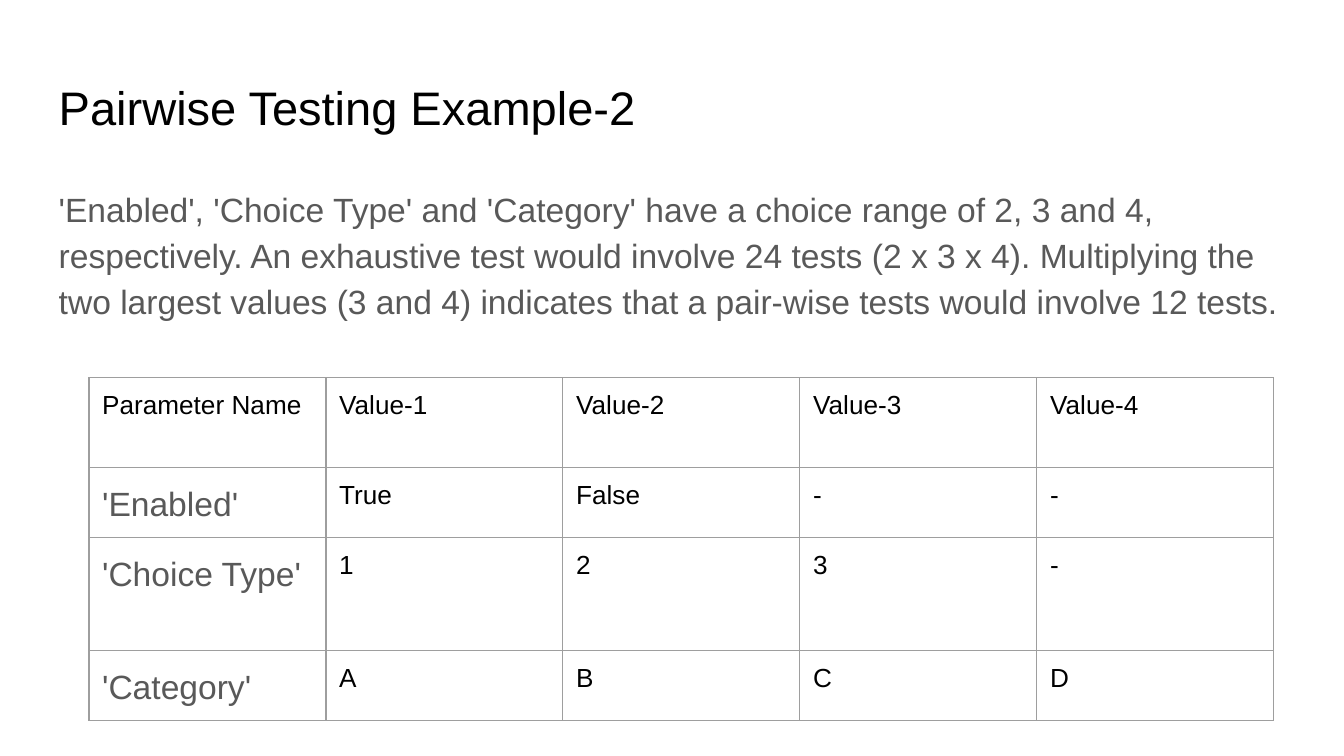
from lxml import etree
from pptx import Presentation
from pptx.dml.color import RGBColor
from pptx.enum.text import MSO_ANCHOR as Anchor, MSO_AUTO_SIZE as AutoSize, PP_ALIGN as Align
from pptx.oxml.ns import qn
from pptx.util import Cm, Pt

BLACK = RGBColor(0x00, 0x00, 0x00)
GREY = RGBColor(0x59, 0x59, 0x59)
BORDER = RGBColor(0x9E, 0x9E, 0x9E)
INSET = Cm(0.25)

ROWS = [
    ["Parameter Name", "Value-1", "Value-2", "Value-3", "Value-4"],
    ["'Enabled'", "True", "False", "-", "-"],
    ["'Choice Type'", "1", "2", "3", "-"],
    ["'Category'", "A", "B", "C", "D"],
]
ROW_HEIGHTS = [1.7, 1.27, 2.14, 1.27]


def write(tf, text, size=14, color=BLACK, spacing=1.0, after=0):
    """Put one formatted paragraph into a text frame and return it."""
    p = tf.paragraphs[0]
    p.alignment = Align.LEFT
    p.line_spacing = spacing
    p.space_before, p.space_after = Pt(0), Pt(after)
    r = p.add_run()
    r.text = text
    r.font.name, r.font.size, r.font.color.rgb = "Arial", Pt(size), color
    return p


def fill_placeholder(sp, box, text, **fmt):
    """Move a placeholder to box (cm) and write unbulleted text in it."""
    sp.left, sp.top, sp.width, sp.height = (Cm(v) for v in box)
    tf = sp.text_frame
    tf.margin_left = tf.margin_right = tf.margin_top = tf.margin_bottom = INSET
    tf.word_wrap, tf.auto_size = True, AutoSize.NONE
    tf.vertical_anchor = Anchor.TOP
    pPr = write(tf, text, **fmt)._p.get_or_add_pPr()
    pPr.set("marL", "0")
    pPr.set("indent", "0")
    etree.SubElement(pPr, qn("a:buNone"))


def set_borders(cell):
    """Draw a thin line on all four sides of a cell."""
    tcPr = cell._tc.get_or_add_tcPr()
    for i, side in enumerate(("lnL", "lnR", "lnT", "lnB")):
        ln = etree.Element(qn(f"a:{side}"), w=str(Pt(0.75)))
        fill = etree.SubElement(ln, qn("a:solidFill"))
        etree.SubElement(fill, qn("a:srgbClr"), val=str(BORDER))
        tcPr.insert(i, ln)


def add_parameter_table(s, left, top, width):
    """Add the parameter table with equal columns."""
    n_cols = len(ROWS[0])
    table = s.shapes.add_table(len(ROWS), n_cols, Cm(left), Cm(top),
                               Cm(width), Cm(sum(ROW_HEIGHTS))).table
    table.first_row = table.horz_banding = False
    for col in table.columns:
        col.width = Cm(width / n_cols)
    for i, (values, height) in enumerate(zip(ROWS, ROW_HEIGHTS)):
        table.rows[i].height = Cm(height)
        for j, value in enumerate(values):
            cell = table.cell(i, j)
            cell.fill.background()
            cell.margin_left = cell.margin_right = INSET
            cell.margin_top = cell.margin_bottom = INSET
            is_name = i > 0 and j == 0
            fmt = dict(size=18, color=GREY, spacing=1.15, after=12) if is_name else {}
            write(cell.text_frame, value, **fmt)
            set_borders(cell)


def build_slide(prs):
    """Build the slide: title, explanation and parameter table."""
    s = prs.slides.add_slide(prs.slide_layouts[1])
    fill_placeholder(s.shapes.title, (0.86, 1.24, 23.67, 1.6),
                     "Pairwise Testing Example-2", size=25.2)
    fill_placeholder(
        s.placeholders[1], (0.86, 3.2, 23.67, 9.5),
        "'Enabled', 'Choice Type' and 'Category' have a choice range of 2, 3 and 4, "
        "respectively. An exhaustive test would involve 24 tests (2 x 3 x 4). "
        "Multiplying the two largest values (3 and 4) indicates that a pair-wise "
        "tests would involve 12 tests.",
        size=18, color=GREY, spacing=1.15, after=12)
    add_parameter_table(s, 1.68, 7.14, 22.4)


prs = Presentation()
prs.slide_width, prs.slide_height = Cm(25.4), Cm(14.29)
build_slide(prs)
prs.save("out.pptx")
